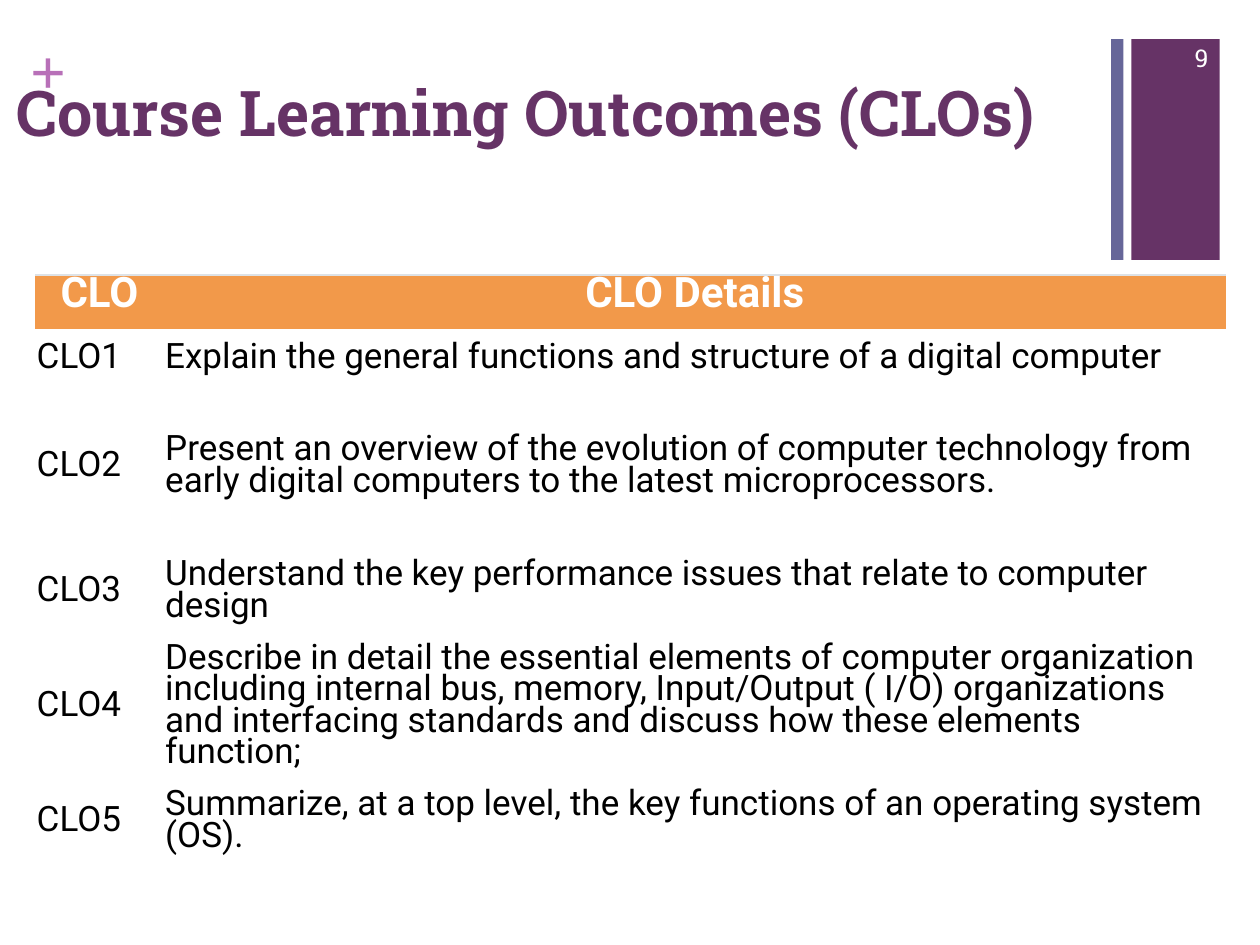
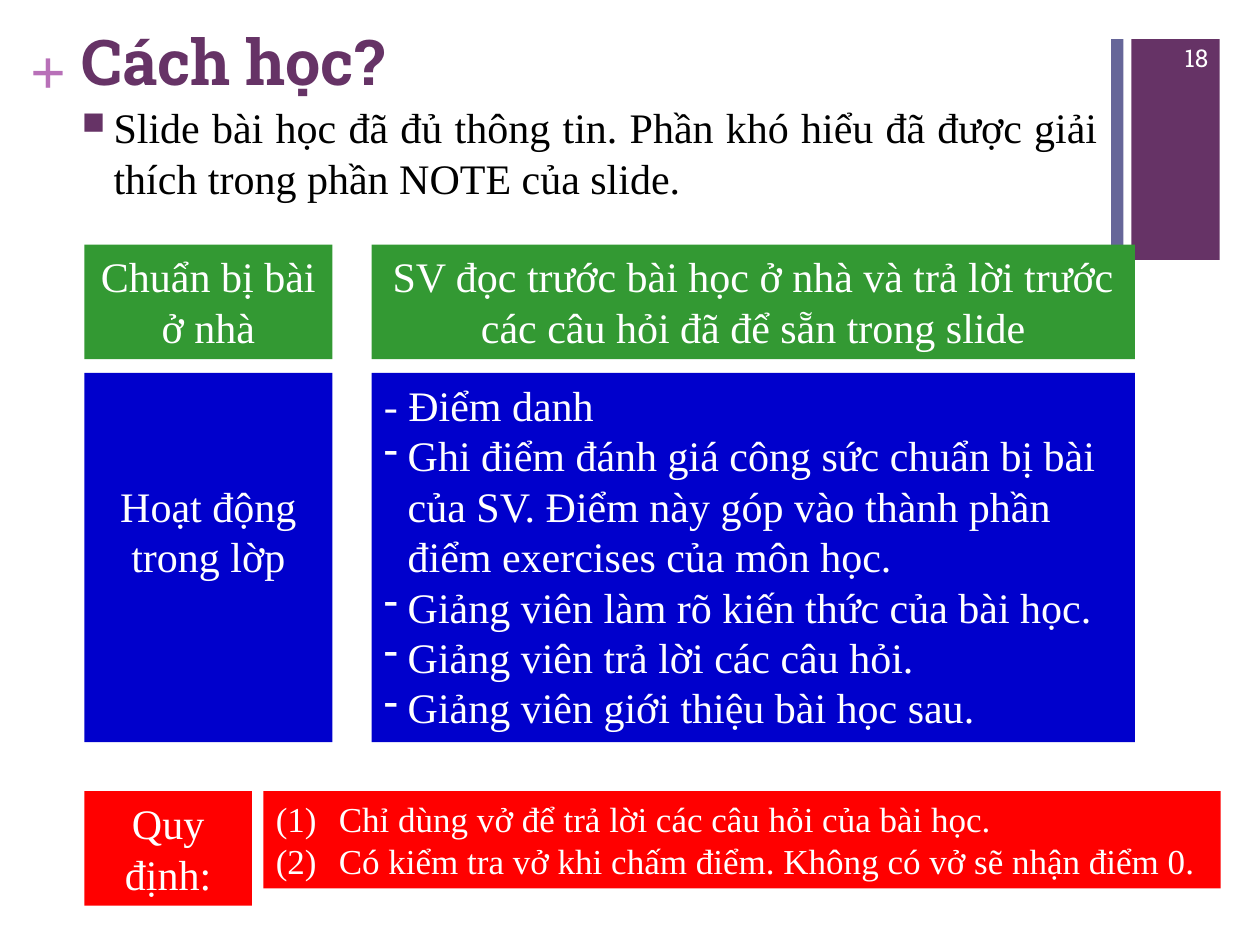
from dataclasses import dataclass
from itertools import product

from lxml.etree import SubElement
from pptx import Presentation
from pptx.dml.color import RGBColor
from pptx.enum.shapes import MSO_SHAPE
from pptx.enum.text import MSO_ANCHOR, PP_ALIGN
from pptx.oxml.ns import qn
from pptx.util import Cm, Pt


@dataclass(frozen=True)
class Theme:
    purple: str = "663366"
    slate: str = "666699"
    orchid: str = "B870B8"
    orange: str = "F2994A"
    rule: str = "DEE2E6"
    green: str = "339933"
    blue: str = "0000CC"
    red: str = "FF0000"
    white: str = "FFFFFF"
    black: str = "000000"
    slab: str = "Roboto Slab"
    sans: str = "Roboto"
    serif: str = "Times New Roman"
    title_size: int = 36
    large_size: int = 24
    body_size: int = 20
    number_size: int = 14


THEME = Theme()


@dataclass(frozen=True)
class Area:
    left: float
    top: float
    width: float
    height: float

    def lengths(self) -> tuple:
        return Cm(self.left), Cm(self.top), Cm(self.width), Cm(self.height)


@dataclass(frozen=True)
class Style:
    font: str
    size: int
    color: str
    bold: bool = False
    align: PP_ALIGN = PP_ALIGN.LEFT
    line_spacing: int | None = None
    space_before: int | None = None


@dataclass(frozen=True)
class Bullet:
    kind: str = ""
    value: str = ""
    indent: float = 0
    color: str = ""
    percent: int = 100


@dataclass(frozen=True)
class Line:
    text: str
    bullet: Bullet = Bullet()


@dataclass(frozen=True)
class Panel:
    area: Area
    fill: str
    lines: list[Line]
    style: Style
    top_inset: float = 0.13


TITLE = Style(THEME.slab, THEME.title_size, THEME.purple, bold=True)
PLUS = Style(THEME.serif, THEME.title_size, THEME.orchid, bold=True)
NUMBER = Style(THEME.slab, THEME.number_size, THEME.white, align=PP_ALIGN.RIGHT)
HEADER = Style(THEME.sans, THEME.large_size, THEME.white, True, PP_ALIGN.CENTER, 18)
CELL = Style(THEME.sans, THEME.body_size, THEME.black, line_spacing=18)
INTRO = Style(THEME.serif, THEME.large_size, THEME.black,
              align=PP_ALIGN.JUSTIFY, space_before=20)
LABEL = Style(THEME.serif, THEME.large_size, THEME.white, align=PP_ALIGN.CENTER)
ACTIVITY = Style(THEME.serif, THEME.large_size, THEME.white)
REGULATION = Style(THEME.serif, THEME.body_size, THEME.white)

SQUARE = Bullet("buChar", "■", 0.64, THEME.purple, 75)
HANGING = Bullet(indent=0.48)
DASH = Bullet("buChar", "-", 0.48)
NUMBERED = Bullet("buAutoNum", "arabicParenBoth", 1.27)

OUTCOMES = [
    "Explain the general functions and structure of a digital computer",
    "Present an overview of the evolution of computer technology from early "
    "digital computers to the latest microprocessors.",
    "Understand the key performance issues that relate to computer design",
    "Describe in detail the essential elements of computer organization including "
    "internal bus, memory, Input/Output ( I/O) organizations and interfacing "
    "standards and discuss how these elements function;",
    "Summarize, at a top level, the key functions of an operating system (OS).",
]
COLUMN_WIDTHS = [2.59, 21.41]
ROW_HEIGHTS = [1.09, 1.32, 3.02, 2.03, 2.51, 2.03]

LABEL_LEFT, LABEL_WIDTH = 1.7, 5.0
DETAIL_LEFT, DETAIL_WIDTH = 7.49, 15.39
HOME_TOP, SHORT_HEIGHT = 4.93, 2.31
CLASS_TOP, CLASS_HEIGHT = 7.52, 7.44
RULES_TOP = 15.95

PANELS = [
    Panel(Area(LABEL_LEFT, HOME_TOP, LABEL_WIDTH, SHORT_HEIGHT), THEME.green,
          [Line("Chuẩn bị bài ở nhà")], LABEL),
    Panel(Area(LABEL_LEFT, CLASS_TOP, LABEL_WIDTH, CLASS_HEIGHT), THEME.blue,
          [Line("Hoạt động trong lờp")], LABEL, top_inset=2.16),
    Panel(Area(DETAIL_LEFT, HOME_TOP, DETAIL_WIDTH, SHORT_HEIGHT), THEME.green,
          [Line("SV đọc trước bài học ở nhà và trả lời trước các câu hỏi "
                "đã để sẵn trong slide")], LABEL),
    Panel(Area(DETAIL_LEFT, CLASS_TOP, DETAIL_WIDTH, CLASS_HEIGHT), THEME.blue,
          [Line("- Điểm danh", HANGING),
           Line("Ghi điểm đánh giá công sức chuẩn bị bài của SV. Điểm này góp vào "
                "thành phần điểm exercises của môn học.", DASH),
           Line("Giảng viên làm rõ kiến thức của bài học.", DASH),
           Line("Giảng viên trả lời các câu hỏi.", DASH),
           Line("Giảng viên giới thiệu bài học sau.", DASH)], ACTIVITY),
    Panel(Area(5.31, RULES_TOP, 19.3, 1.96), THEME.red,
          [Line("Chỉ dùng vở để trả lời các câu hỏi của bài học.", NUMBERED),
           Line("Có kiểm tra vở khi chấm điểm. Không có vở sẽ nhận điểm 0.", NUMBERED)],
          REGULATION),
    Panel(Area(LABEL_LEFT, RULES_TOP, 3.38, SHORT_HEIGHT), THEME.red,
          [Line("Quy định:")], LABEL),
]


def add_bullet(paragraph, bullet: Bullet) -> None:
    properties = paragraph._p.get_or_add_pPr()
    properties.set("marL", str(Cm(bullet.indent)))
    properties.set("indent", str(-Cm(bullet.indent)))
    if bullet.color:
        color = SubElement(properties, qn("a:buClr"))
        SubElement(color, qn("a:srgbClr"), val=bullet.color)
        SubElement(properties, qn("a:buSzPct"), val=str(bullet.percent * 1000))
    if bullet.kind:
        attribute = "char" if bullet.kind == "buChar" else "type"
        SubElement(properties, qn(f"a:{bullet.kind}"), {attribute: bullet.value})


def write(text_frame, lines: list[Line], style: Style) -> None:
    text_frame.word_wrap = True
    for index, line in enumerate(lines):
        paragraph = text_frame.add_paragraph() if index else text_frame.paragraphs[0]
        paragraph.alignment = style.align
        if style.line_spacing:
            paragraph.line_spacing = Pt(style.line_spacing)
        if style.space_before:
            paragraph.space_before = Pt(style.space_before)
        if line.bullet.indent:
            add_bullet(paragraph, line.bullet)
        run = paragraph.add_run()
        run.text = line.text
        run.font.name = style.font
        run.font.size = Pt(style.size)
        run.font.bold = style.bold
        run.font.color.rgb = RGBColor.from_string(style.color)


def add_rectangle(slide, area: Area, fill: str):
    shape = slide.shapes.add_shape(MSO_SHAPE.RECTANGLE, *area.lengths())
    shape.shadow.inherit = False
    shape.fill.solid()
    shape.fill.fore_color.rgb = RGBColor.from_string(fill)
    shape.line.fill.background()
    return shape


def add_text(slide, area: Area, line: Line, style: Style):
    text_frame = slide.shapes.add_textbox(*area.lengths()).text_frame
    write(text_frame, [line], style)
    return text_frame


def add_panel(slide, panel: Panel) -> None:
    text_frame = add_rectangle(slide, panel.area, panel.fill).text_frame
    text_frame.vertical_anchor = MSO_ANCHOR.TOP
    text_frame.margin_top = Cm(panel.top_inset)
    write(text_frame, panel.lines, panel.style)


def add_base_slide(presentation, title: str, title_area: Area, number: int):
    slide = presentation.slides.add_slide(presentation.slide_layouts[6])
    add_rectangle(slide, Area(22.81, 0.79, 1.78, 4.45), THEME.purple)
    plus = add_text(slide, Area(0.61, 0.64, 0.74, 1.55), Line("+"), PLUS)
    plus.margin_left = plus.margin_right = plus.margin_top = plus.margin_bottom = 0
    add_rectangle(slide, Area(22.4, 0.79, 0.25, 4.45), THEME.slate)
    add_text(slide, title_area, Line(title), TITLE)
    page = add_text(slide, Area(23.06, 0.66, 1.55, 1.02), Line(str(number)), NUMBER)
    page.vertical_anchor = MSO_ANCHOR.MIDDLE
    return slide


def set_borders(cell, top_color: str) -> None:
    properties = cell._tc.get_or_add_tcPr()
    for edge in ("lnL", "lnR", "lnT", "lnB"):
        border = SubElement(properties, qn(f"a:{edge}"), w=str(Pt(1)))
        if edge == "lnT" and top_color:
            fill = SubElement(border, qn("a:solidFill"))
            SubElement(fill, qn("a:srgbClr"), val=top_color)
        else:
            SubElement(border, qn("a:noFill"))


def add_outcome_table(slide) -> None:
    rows = [("CLO", "CLO Details")]
    rows += [(f"CLO{index}", text) for index, text in enumerate(OUTCOMES, 1)]
    area = Area(0.71, 5.54, sum(COLUMN_WIDTHS), sum(ROW_HEIGHTS))
    table = slide.shapes.add_table(len(rows), len(COLUMN_WIDTHS), *area.lengths()).table
    table.first_row = table.horz_banding = False
    for column, width in zip(table.columns, COLUMN_WIDTHS):
        column.width = Cm(width)
    for row, height in zip(table.rows, ROW_HEIGHTS):
        row.height = Cm(height)
    for row, column in product(range(len(rows)), range(len(COLUMN_WIDTHS))):
        cell = table.cell(row, column)
        is_header = row == 0
        cell.vertical_anchor = MSO_ANCHOR.MIDDLE
        cell.margin_left = cell.margin_right = Cm(0.03)
        cell.margin_top = cell.margin_bottom = Cm(0.03)
        set_borders(cell, THEME.rule if is_header else "")
        if is_header:
            cell.fill.solid()
            cell.fill.fore_color.rgb = RGBColor.from_string(THEME.orange)
        else:
            cell.fill.background()
        write(cell.text_frame, [Line(rows[row][column])], HEADER if is_header else CELL)


def main() -> None:
    presentation = Presentation()
    presentation.slide_width, presentation.slide_height = Cm(25.4), Cm(19.05)

    outcomes = add_base_slide(presentation, "Course Learning Outcomes (CLOs)",
                              Area(0.08, 1.35, 24, 3.1), 9)
    add_outcome_table(outcomes)

    study = add_base_slide(presentation, "Cách học?", Area(1.4, 0.33, 20.98, 1.57), 18)
    intro = Line("Slide bài học đã đủ thông tin. Phần khó hiểu đã được giải thích "
                 "trong phần NOTE của slide.", SQUARE)
    add_text(study, Area(1.4, 1.93, 20.98, 2.36), intro, INTRO)
    for panel in PANELS:
        add_panel(study, panel)

    presentation.save("out.pptx")


if __name__ == "__main__":
    main()
